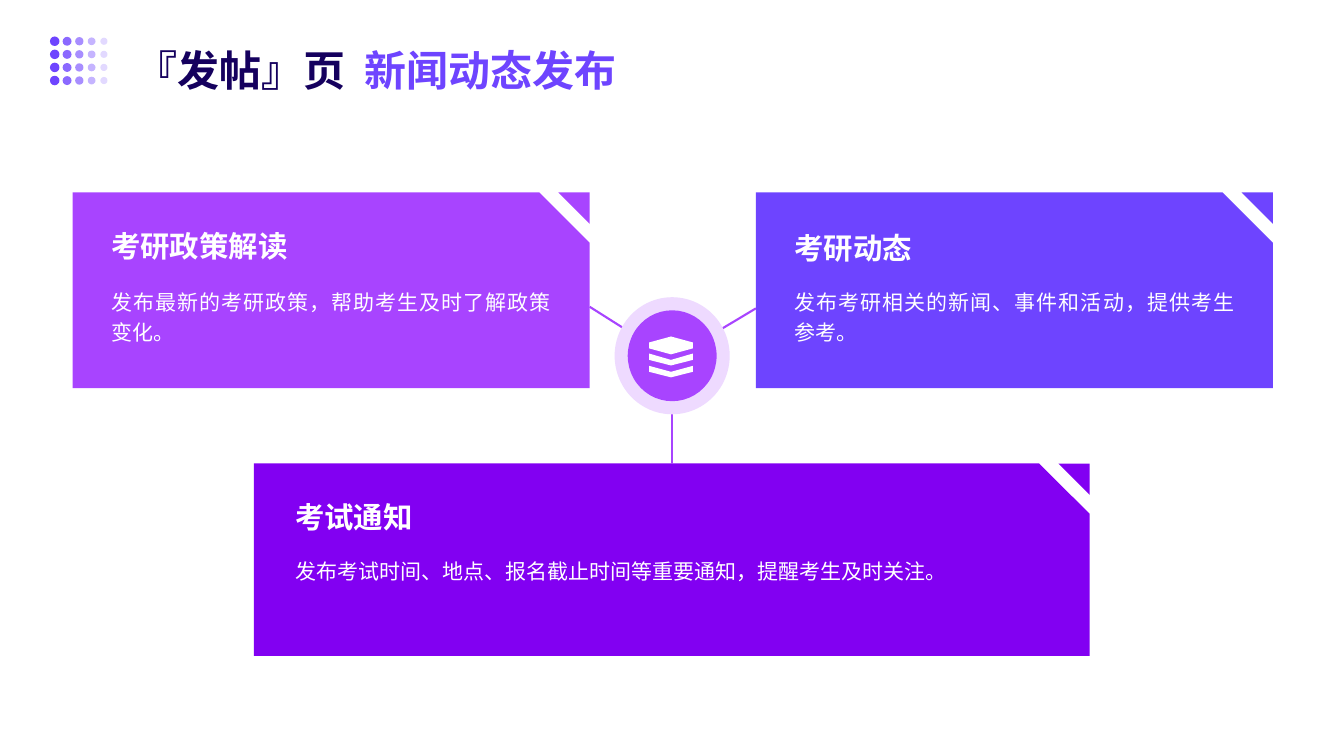
from dataclasses import dataclass

import pptx
import pptx.dml.color
import pptx.enum.shapes
import pptx.enum.text
import pptx.oxml
import pptx.oxml.ns
import pptx.util
from pptx.util import Cm

SHAPE = pptx.enum.shapes.MSO_SHAPE
ALIGN = pptx.enum.text.PP_ALIGN


@dataclass(frozen=True)
class Theme:
    font: str = "Noto Sans CJK SC"
    white: str = "FFFFFF"
    navy: str = "15005E"
    orchid: str = "A844FF"
    indigo: str = "6E44FF"
    violet: str = "8200F2"
    halo: str = "EEDAFF"
    title_size: int = 30
    heading_size: int = 21
    body_size: int = 15
    line_width: float = 1.5


THEME = Theme()


def rgb(color):
    return pptx.dml.color.RGBColor.from_string(color)


def paint(shape, color):
    shape.shadow.inherit = False
    shape.fill.solid()
    shape.fill.fore_color.rgb = rgb(color)
    shape.line.fill.background()
    return shape


def add_filled(shapes, kind, box, color):
    return paint(shapes.add_shape(kind, *map(Cm, box)), color)


def prepare_frame(frame, insets):
    frame.word_wrap = True
    frame.auto_size = pptx.enum.text.MSO_AUTO_SIZE.NONE
    frame.vertical_anchor = pptx.enum.text.MSO_ANCHOR.TOP
    frame.margin_left, frame.margin_top, frame.margin_right, frame.margin_bottom = map(Cm, insets)


def format_paragraph(paragraph, size, color, bold, spacing, align):
    paragraph.alignment = align
    paragraph.line_spacing = spacing
    paragraph.space_before = pptx.util.Pt(0)
    font = paragraph.font
    font.size = pptx.util.Pt(size)
    font.bold = bold
    font.color.rgb = rgb(color)
    font.name = THEME.font
    # East Asian typeface follows the Latin one
    east_asian = pptx.oxml.parse_xml(
        f'<a:ea {pptx.oxml.ns.nsdecls("a")} typeface="{THEME.font}"/>')
    paragraph._p.pPr.defRPr.append(east_asian)


def add_label(slide, box, text, size, bold, align):
    frame = slide.shapes.add_textbox(*map(Cm, box)).text_frame
    prepare_frame(frame, (0.3, 0.15, 0.3, 0.15))
    paragraph = frame.paragraphs[0]
    paragraph.text = text
    format_paragraph(paragraph, size, THEME.white, bold, 1.2, align)


# Header: page title
def add_title(slide, box):
    title = slide.shapes.title
    title.left, title.top, title.width, title.height = map(Cm, box)
    prepare_frame(title.text_frame, (0.36, 0.36, 0.15, 0.36))
    paragraph = title.text_frame.paragraphs[0]
    format_paragraph(paragraph, THEME.title_size, THEME.navy, True, 1.4, ALIGN.LEFT)
    page, gap, topic = (paragraph.add_run() for _ in range(3))
    page.text, gap.text, topic.text = "『发帖』页", " ", "新闻动态发布"
    gap.font._element.set("spc", "670")
    topic.font.color.rgb = rgb(THEME.indigo)


# Header: grid of dots that fade and shrink to the right
def add_dots(slide, left, top, rows=4, columns=5):
    dots = slide.shapes.add_group_shape().shapes
    for row in range(rows):
        for column in range(columns):
            size = 0.24 - 0.015 * column
            center_x = left + 0.12 + 0.31 * column
            center_y = top + 0.12 + 0.33 * row
            dot = add_filled(dots, SHAPE.OVAL,
                             (center_x - size / 2, center_y - size / 2, size, size),
                             THEME.indigo)
            if column:
                color = dot.fill._xPr.find(".//" + pptx.oxml.ns.qn("a:srgbClr"))
                color.append(pptx.oxml.parse_xml(
                    f'<a:alpha {pptx.oxml.ns.nsdecls("a")} val="{100000 - 20000 * column}"/>'))


# Card: panel with a cut corner, heading and body
def add_card(slide, box, color, heading, body, inset, heading_top, body_top):
    left, top, width, height = box
    corner = 0.79
    panel = add_filled(slide.shapes, SHAPE.SNIP_1_RECTANGLE, box, color)
    panel.adjustments[0] = 1.27 / height
    tip = add_filled(slide.shapes, SHAPE.RIGHT_TRIANGLE,
                     (left + width - corner, top, corner, corner), color)
    tip.rotation = 180
    text_left, text_width = left + inset, width - 2 * inset
    add_label(slide, (text_left, top + heading_top, text_width, 1.45),
              heading, THEME.heading_size, True, ALIGN.LEFT)
    add_label(slide, (text_left, top + body_top, text_width, 1.96),
              body, THEME.body_size, False, ALIGN.JUSTIFY)
    return panel


def add_spoke(slide, start, end):
    spoke = slide.shapes.add_connector(pptx.enum.shapes.MSO_CONNECTOR.STRAIGHT,
                                       *map(Cm, start + end))
    spoke.line.color.rgb = rgb(THEME.orchid)
    spoke.line.width = pptx.util.Pt(THEME.line_width)
    spoke._element.spPr.append(
        pptx.oxml.parse_xml(f'<a:effectLst {pptx.oxml.ns.nsdecls("a")}/>'))
    return spoke


# Hub: ringed disc with an icon of stacked layers
def add_hub(slide, box):
    left, top, width, height = box
    ring = 0.33
    add_filled(slide.shapes, SHAPE.OVAL, box, THEME.halo)
    add_filled(slide.shapes, SHAPE.OVAL,
               (left + ring, top + ring, width - 2 * ring, height - 2 * ring), THEME.orchid)

    icon_left, icon_top, icon_width = left + 0.87, top + 0.99, 1.1
    # Heights of each layer: upper side, upper middle, lower side, lower middle
    layers = [(0.15, 0, 0.3, 0.45), (0.43, 0.59, 0.59, 0.73), (0.74, 0.89, 0.89, 1.03)]
    builder = None
    for upper, upper_mid, lower, lower_mid in layers:
        outline = [(0, upper), (0.5, upper_mid), (1, upper),
                   (1, lower), (0.5, lower_mid), (0, lower)]
        points = [(Cm(icon_left + x * icon_width), Cm(icon_top + y)) for x, y in outline]
        if builder is None:
            builder = slide.shapes.build_freeform(*points[0])
        else:
            builder.move_to(*points[0])
        builder.add_line_segments(points[1:], close=True)
    paint(builder.convert_to_shape(), THEME.white)


def build_news_slide(presentation):
    slide = presentation.slides.add_slide(presentation.slide_layouts[5])
    add_dots(slide, 1.26, 0.92)
    add_title(slide, (3.05, 0.25, 27.79, 2.49))

    add_card(slide, (1.83, 4.85, 13.03, 4.93), THEME.orchid, "考研政策解读",
             "发布最新的考研政策，帮助考生及时了解政策变化。", 0.67, 0.56, 2.16)
    add_card(slide, (19.05, 4.85, 13.03, 4.93), THEME.indigo, "考研动态",
             "发布考研相关的新闻、事件和活动，提供考生参考。", 0.67, 0.61, 2.16)
    notice = add_card(slide, (6.4, 11.68, 21.06, 4.85), THEME.violet, "考试通知",
                      "发布考试时间、地点、报名截止时间等重要通知，提醒考生及时关注。",
                      0.74, 0.58, 2.11)

    # Spokes from the hub to the cards
    center = (16.93, 9.04)
    add_spoke(slide, center, (14.86, 7.73))
    add_spoke(slide, center, (19.05, 7.77))
    add_spoke(slide, center, (16.93, 11.68)).end_connect(notice, 0)
    add_hub(slide, (15.49, 7.49, 2.9, 2.95))


def main():
    presentation = pptx.Presentation()
    presentation.slide_width, presentation.slide_height = Cm(33.87), Cm(19.05)
    build_news_slide(presentation)
    presentation.save("out.pptx")


if __name__ == "__main__":
    main()
